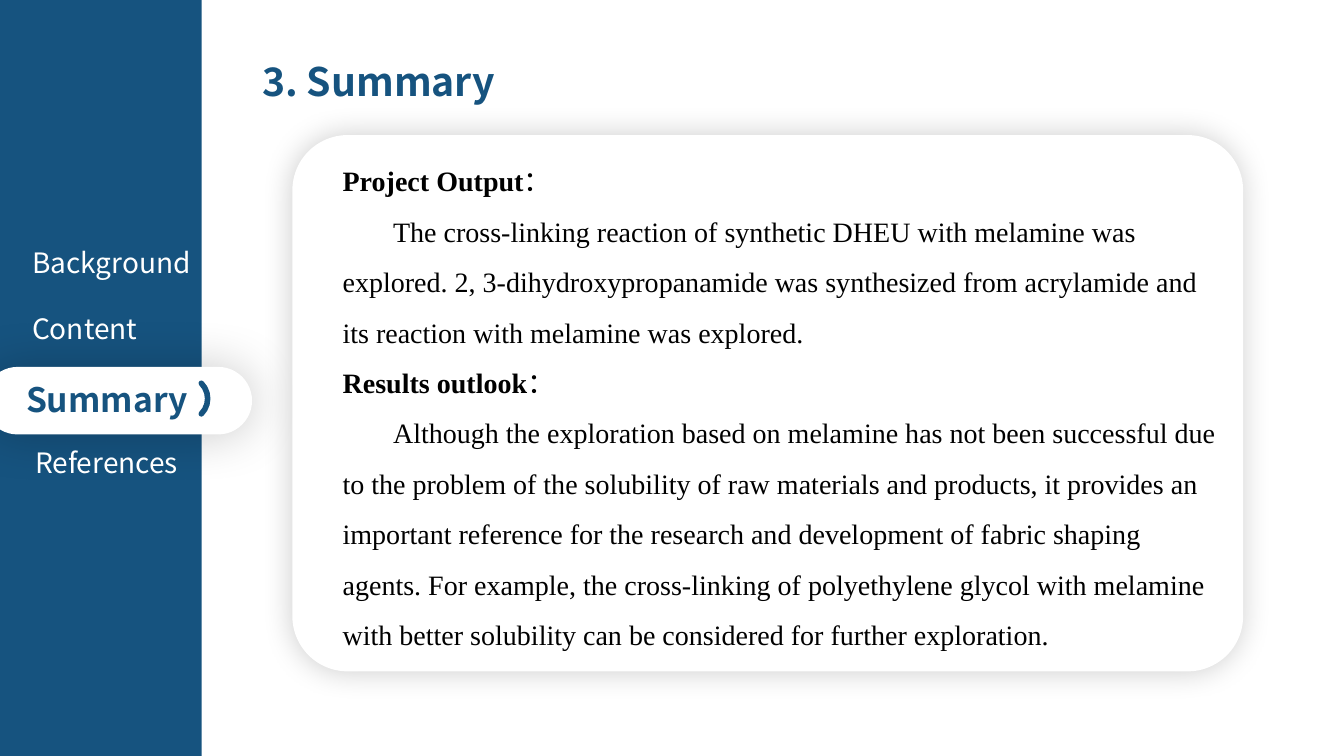
from lxml import etree
from pptx import Presentation
from pptx.dml.color import RGBColor
from pptx.enum.shapes import MSO_SHAPE
from pptx.enum.text import MSO_ANCHOR, PP_ALIGN
from pptx.oxml.ns import qn
from pptx.util import Inches, Pt

RECTANGLE = MSO_SHAPE.RECTANGLE
ROUNDED = MSO_SHAPE.ROUNDED_RECTANGLE
ARC = MSO_SHAPE.ARC
TOP = MSO_ANCHOR.TOP
LEFT = PP_ALIGN.LEFT

BLUE, WHITE, BLACK = "16537F", "FFFFFF", "000000"
SANS, SERIF = "Noto Sans CJK SC", "Times New Roman"


def style_run(run, font_name, size, color, bold=False):
    run.font.name = font_name
    run.font.size = Pt(size)
    run.font.bold = bold
    run.font.color.rgb = RGBColor.from_string(color)
    # East Asian punctuation takes its font from a:ea, directly after a:latin
    east_asian = etree.Element(qn("a:ea"), typeface=SANS)
    run.font._element.find(qn("a:latin")).addnext(east_asian)


def add_panel(kind, box, color, glow=None):
    """Add a borderless filled shape; glow is (opacity in percent, blur in points)."""
    panel = slide.shapes.add_shape(kind, *map(Inches, box))
    panel.shadow.inherit = False
    panel.fill.solid()
    panel.fill.fore_color.rgb = RGBColor.from_string(color)
    panel.line.fill.background()
    if glow:
        opacity, blur = glow
        effects = panel._element.spPr.find(qn("a:effectLst"))
        shadow = etree.SubElement(effects, qn("a:outerShdw"), blurRad=str(Pt(blur)),
                                  dist="0", dir="0", algn="ctr", rotWithShape="0")
        shade = etree.SubElement(shadow, qn("a:srgbClr"), val=BLACK)
        etree.SubElement(shade, qn("a:alpha"), val=str(opacity * 1000))
    return panel


presentation = Presentation()
presentation.slide_width = Inches(13.33)
presentation.slide_height = Inches(7.5)
slide = presentation.slides.add_slide(presentation.slide_layouts[5])

# Card and sidebar
card = add_panel(ROUNDED, (2.9, 1.34, 9.43, 5.32), WHITE, glow=(20, 22))
card.adjustments[0] = 0.103
add_panel(RECTANGLE, (0, 0, 2, 7.5), BLUE)

# Title
title = slide.shapes.title
title.left, title.top = Inches(2.5), Inches(0.52)
title.width, title.height = Inches(10.22), Inches(1.04)
title.text_frame.text = "3. Summary"
title.text_frame.vertical_anchor = TOP
title_paragraph = title.text_frame.paragraphs[0]
title_paragraph.alignment = LEFT
style_run(title_paragraph.runs[0], SANS, 28, BLUE, bold=True)

# Body: each heading is followed by one indented paragraph
sections = [
    ("Project Output",
     "The cross-linking reaction of synthetic DHEU with melamine was explored. "
     "2, 3-dihydroxypropanamide was synthesized from acrylamide and its reaction "
     "with melamine was explored."),
    ("Results outlook",
     "Although the exploration based on melamine has not been successful due to the "
     "problem of the solubility of raw materials and products, it provides an important "
     "reference for the research and development of fabric shaping agents. For example, "
     "the cross-linking of polyethylene glycol with melamine with better solubility can "
     "be considered for further exploration."),
]
body = slide.shapes.add_textbox(Inches(3.3), Inches(1.41), Inches(8.87), Inches(5.09))
body_frame = body.text_frame
body_frame.word_wrap = True
body_frame.text = "\n".join(heading + "\n" + text for heading, text in sections)
for index, paragraph in enumerate(body_frame.paragraphs):
    paragraph.line_spacing = 1.5
    is_heading = index % 2 == 0
    style_run(paragraph.runs[0], SERIF, 20, BLACK, bold=is_heading)
    if is_heading:
        colon = paragraph.add_run()
        colon.text = "："
        style_run(colon, SANS, 20, BLACK)
    else:
        properties = paragraph._p.get_or_add_pPr()
        properties.set("marL", "0")
        properties.set("indent", str(Inches(0.5)))

# Navigation with the current section highlighted
pill = add_panel(ROUNDED, (-0.16, 3.64, 2.66, 0.67), WHITE, glow=(21, 37))
pill.adjustments[0] = 0.5
navigation = [
    ("Background", (0.22, 2.39, 1.87, 0.44), 20, WHITE, False),
    ("Content", (0.22, 3.04, 1.5, 0.44), 20, WHITE, False),
    ("Summary", (0.16, 3.71, 1.84, 0.5), 24, BLUE, True),
    ("References", (0.25, 4.37, 1.67, 0.44), 20, WHITE, False),
]
for label, box, size, color, bold in navigation:
    entry = slide.shapes.add_textbox(*map(Inches, box))
    entry.text_frame.word_wrap = True
    entry.text_frame.text = label
    style_run(entry.text_frame.paragraphs[0].runs[0], SANS, size, color, bold)

marker = slide.shapes.add_shape(ARC, Inches(1.63), Inches(3.74), Inches(0.43), Inches(0.43))
marker.shadow.inherit = False
marker.rotation = 45
marker.fill.background()
marker.line.color.rgb = RGBColor.from_string(BLUE)
marker.line.width = Pt(4)
marker.line._get_or_add_ln().set("cap", "rnd")

presentation.save("out.pptx")
